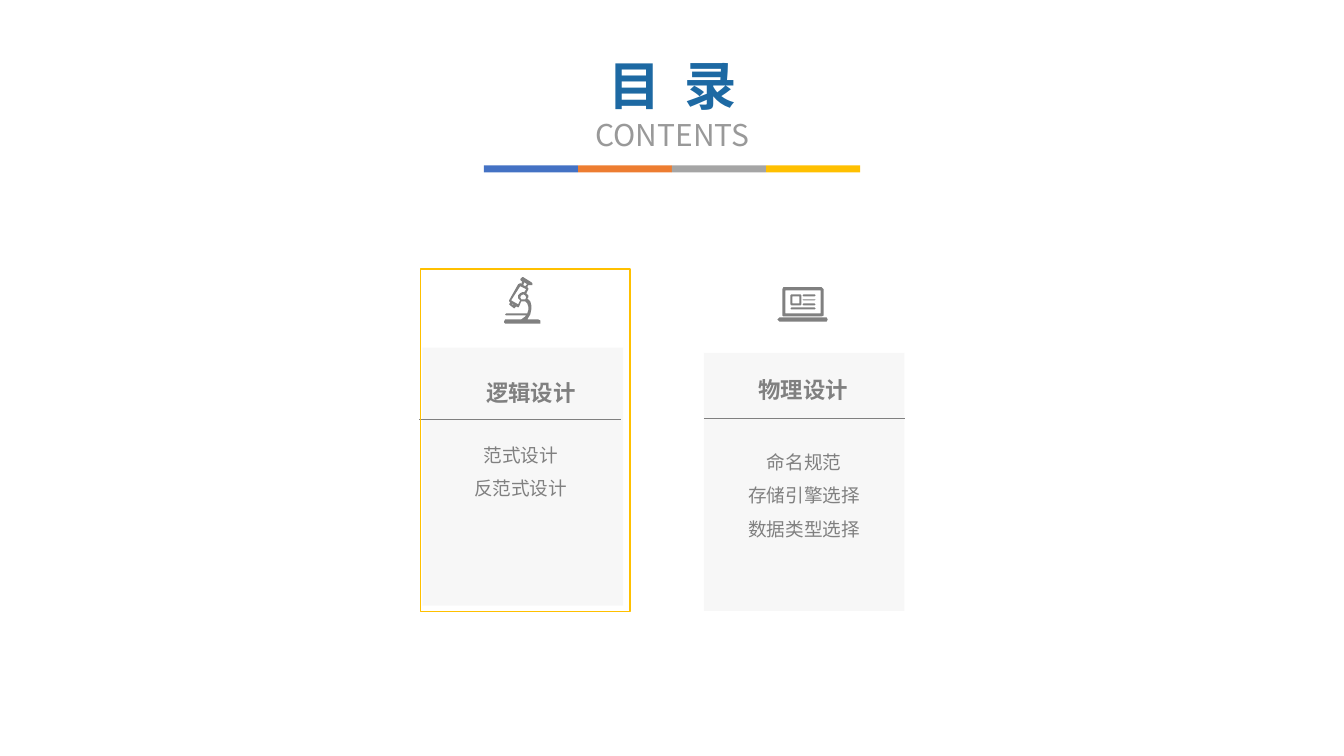
from dataclasses import dataclass
from lxml.etree import SubElement as Sub
from pptx import Presentation as Deck
from pptx.dml.color import RGBColor as Rgb
from pptx.enum.shapes import MSO_CONNECTOR as Link, MSO_SHAPE as Form
from pptx.enum.text import PP_ALIGN as Align
from pptx.oxml.ns import qn
from pptx.util import Inches, Pt


@dataclass(frozen=True)
class Theme:
    face: str = "Noto Sans CJK SC"
    title: str = "1D69A3"
    sub: str = "999999"
    ink: str = "808080"
    panel: str = "D9D9D9"
    frame: str = "FFC000"
    bars: tuple = ("4472C4", "ED7D31", "A5A5A5", "FFC000")
    big: float = 37.4
    mid: float = 21.4
    head: float = 16
    body: float = 13.3


class Page:
    def __init__(self, slide, theme):
        self.shapes = slide.shapes
        self.theme = theme

    def paint(self, shape, fill=None, line=None, alpha=None):
        shape.shadow.inherit = False
        if fill:
            shape.fill.solid()
            shape.fill.fore_color.rgb = Rgb.from_string(fill)
        else:
            shape.fill.background()
        if line:
            shape.line.color.rgb = Rgb.from_string(line)
            shape.line.width = Pt(1)
        else:
            shape.line.fill.background()
        if alpha:
            tint = shape.fill._xPr.find(qn("a:solidFill"))[0]
            Sub(tint, qn("a:alpha"), val=str(alpha * 1000))

    def rect(self, x, y, w, h, **look):
        box = self.shapes.add_shape(Form.RECTANGLE, *map(Inches, (x, y, w, h)))
        self.paint(box, **look)

    def rule(self, x, y, w):
        line = self.shapes.add_connector(
            Link.STRAIGHT, *map(Inches, (x, y, x + w, y)))
        line.line.color.rgb = Rgb.from_string(self.theme.ink)
        line.line.width = Pt(0.5)
        Sub(line._element.spPr, qn("a:effectLst"))

    def icon(self, x, y, loops):
        """Fill closed outlines given in hundredths of an inch from x, y."""
        unit = Inches(0.01)
        first, *rest = loops
        pen = self.shapes.build_freeform(*first[0], scale=unit)
        pen.add_line_segments(first[1:], close=True)
        for loop in rest:
            pen.move_to(*loop[0])
            pen.add_line_segments(loop[1:], close=True)
        self.paint(pen.convert_to_shape(Inches(x), Inches(y)),
                   fill=self.theme.ink)

    def text(self, x, y, w, h, rows):
        """Each row is its words, line pitch in points, format and tracking."""
        frame = self.shapes.add_textbox(
            *map(Inches, (x, y, w, h))).text_frame
        frame.word_wrap = True
        frame.margin_left = frame.margin_right = 0
        for i, (words, pitch, form, track) in enumerate(rows):
            para = frame.add_paragraph() if i else frame.paragraphs[0]
            para.alignment = Align.CENTER
            para.line_spacing = Pt(pitch)
            run = para.add_run()
            run.text = words
            look = dict(form, name=self.theme.face, size=Pt(form["size"]))
            run.font.color.rgb = Rgb.from_string(look.pop("color"))
            for key, value in look.items():
                setattr(run.font, key, value)
            props = run._r.get_or_add_rPr()
            Sub(props, qn("a:ea"), typeface=self.theme.face)
            if track:
                props.set("spc", str(track))


def block(l, t, r, b, c=0):
    """Outline of a box with its corners cut by c."""
    if not c:
        return [(l, t), (r, t), (r, b), (l, b)]
    return [(l + c, t), (r - c, t), (r, t + c), (r, b - c),
            (r - c, b), (l + c, b), (l, b - c), (l, t + c)]


# Icon outlines
LAPTOP = [
    block(0, 30, 50.5, 34, 1.5),
    block(5, 0, 46, 29, 1.5), block(8, 3, 43, 26),
    block(13, 7, 24, 18, 1), block(15, 9, 22, 16),
    *(block(25, y, 38, y + 1.8, 0.8) for y in (7, 11.5, 16)),
    block(13, 20, 38, 21.8, 0.8),
]
SCOPE = [
    [(23, 21), (25.5, 24), (27, 28), (27, 32), (26, 37), (23, 41.5),
     (22, 42.5), (34, 42.5), (35.5, 43), (36, 44), (35.5, 45.5), (34, 46),
     (1, 46), (0, 45), (0, 43.5), (1, 42.5), (13, 42.5), (17, 41.5),
     (21, 39), (22, 38), (2, 38), (1, 37), (2, 36), (23, 36), (24, 33),
     (24, 29), (23, 26.5), (21, 24), (19, 24.5), (17, 24), (15, 29),
     (13.5, 29.5), (12, 29), (11, 30.5), (10, 31), (6, 28.5), (5, 27),
     (6, 25), (5, 24.5), (5, 23), (14, 7), (15.5, 6), (17, 7), (18, 4.5),
     (17, 3.5), (16.5, 1.5), (17.5, 0.5), (19, 0.5), (27, 5), (28, 6.5),
     (27.5, 8), (26, 8.5), (24.5, 8), (23, 10.5), (24, 11), (24.5, 12.5),
     (22, 16), (23.5, 18), (24, 20)],
    [(23, 7), (20, 5), (19, 8), (21, 9)],
    [(20, 15), (22, 12), (16, 9), (7, 23), (14, 27), (16, 23), (14.5, 21),
     (14.5, 18.5), (16, 16), (18, 15)],
    [(21, 18), (19, 17), (17, 18), (16, 20), (17, 21.5), (19, 22.5),
     (21, 21.5), (22, 20)],
    [(8, 26), (8, 27), (10, 28.5), (10.5, 28)],
]


def main():
    deck = Deck()
    deck.slide_width, deck.slide_height = Inches(13.33), Inches(7.5)
    style = Theme()
    page = Page(deck.slides.add_slide(deck.slide_layouts[6]), style)
    head = dict(size=style.head, color=style.ink, bold=True)
    body = dict(size=style.body, color=style.ink, bold=False)

    # Title and colour bar
    page.text(5.59, 0.48, 2.16, 1.09, [
        ("目 录", 45, dict(size=style.big, color=style.title, bold=True), 420),
        ("CONTENTS", 25.7,
         dict(size=style.mid, color=style.sub, bold=False), 0),
    ])
    step = 3.73 / len(style.bars)
    for i, color in enumerate(style.bars):
        page.rect(4.8 + i * step, 1.64, step, 0.07, fill=color)

    # Topic cards: panel, rule, heading, items, icon
    cards = [
        ((4.19, 3.45), (4.16, 4.16), "逻辑设计", (4.37, 3.71, 1.79),
         ["范式设计", "反范式设计"], (4.6, 4.24, 1.13), (5, 2.75, SCOPE)),
        ((6.98, 3.5), (6.98, 4.15), "物理设计", (7.42, 3.68, 1.09),
         ["命名规范", "存储引擎选择", "数据类型选择"], (7.2, 4.31, 1.55),
         (7.71, 2.85, LAPTOP)),
    ]
    for panel, rule, name, top, items, spot, art in cards:
        page.rect(*panel, 1.99, 2.56, fill=style.panel, alpha=20)
        page.rule(*rule, 2)
        page.text(*top, 0.37, [(name, 19.2, head, 0)])
        page.text(*spot, 1.11, [(item, 24, body, 0) for item in items])
        page.icon(*art)

    # Frame around the current topic
    page.rect(4.17, 2.67, 2.08, 3.4, line=style.frame)
    deck.save("out.pptx")


if __name__ == "__main__":
    main()
